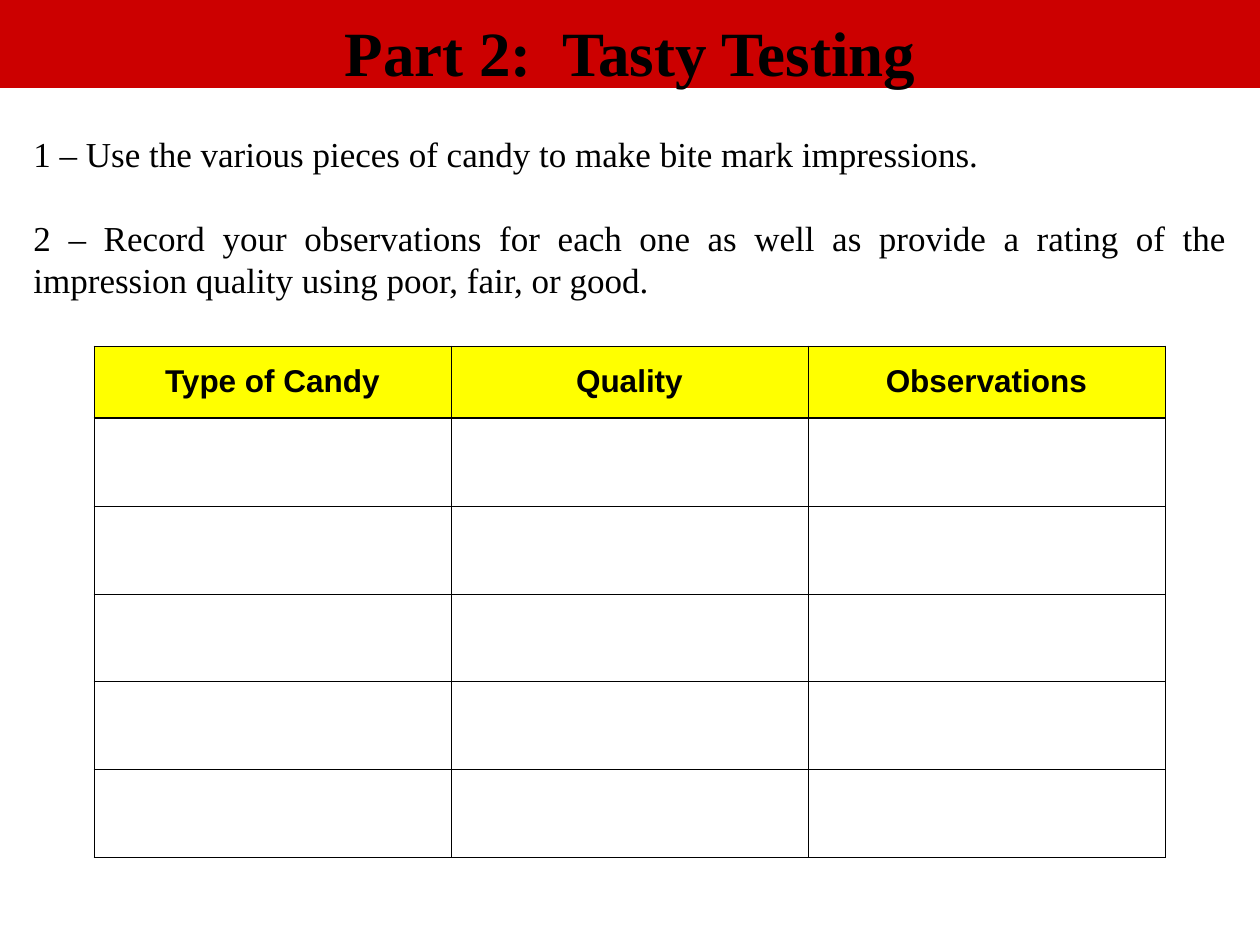
import lxml.etree
import pptx
import pptx.dml.color
import pptx.enum.text
import pptx.oxml.ns
import pptx.util

ALIGN = pptx.enum.text.PP_ALIGN
MID = pptx.enum.text.MSO_ANCHOR.MIDDLE
SCALE = 914400 / 126


class Theme:
    """Hold the colours, type formats and line widths of the slide."""
    red, yellow, white, black = "CC0000", "FFFF00", "FFFFFF", "000000"
    title = {"name": "Times New Roman", "size": pptx.util.Pt(36), "bold": True}
    body = {"name": "Times New Roman", "size": pptx.util.Pt(20), "bold": False}
    head = {"name": "Arial", "size": pptx.util.Pt(18), "bold": True}
    thin, thick = pptx.util.Pt(0.45), pptx.util.Pt(0.96)
    pitch = pptx.util.Pt(24)


def px(num):
    """Turn px into EMU."""
    return pptx.util.Emu(round(num * SCALE))


def tint(text):
    """Return the colour for a hex string."""
    return pptx.dml.color.RGBColor.from_string(text)


def apply(item, form):
    """Set each format value on an object."""
    for key, value in form.items():
        setattr(item, key, value)


def write(para, text, font, form):
    """Fill a paragraph with text in the given format."""
    run = para.add_run()
    run.text = text
    apply(run.font, font)
    run.font.color.rgb = tint(Theme.black)
    apply(para, form)


def banner(slide, box, text):
    """Draw the title band."""
    band = slide.shapes.add_shape(1, *map(px, box))
    band.shadow.inherit = False
    band.fill.solid()
    band.fill.fore_color.rgb = tint(Theme.red)
    band.line.fill.background()
    frame = band.text_frame
    apply(frame, {"word_wrap": True, "margin_top": px(14), "margin_bottom": 0,
                  "vertical_anchor": pptx.enum.text.MSO_ANCHOR.TOP})
    write(frame.paragraphs[0], text, Theme.title, {"alignment": ALIGN.CENTER})


def steps(slide, box, lines):
    """Write the numbered steps, one line apart."""
    frame = slide.shapes.add_textbox(*map(px, box)).text_frame
    frame.word_wrap = True
    for num, text in enumerate(lines):
        para = frame.add_paragraph() if num else frame.paragraphs[0]
        write(para, text, Theme.body, {
            "alignment": ALIGN.JUSTIFY, "line_spacing": Theme.pitch,
            "space_before": Theme.pitch if num else 0})


def edge(cell, side, width):
    """Add one border line to a cell."""
    name = pptx.oxml.ns.qn
    line = lxml.etree.SubElement(cell._tc.get_or_add_tcPr(), name("a:ln" + side),
                                 w=str(int(width)))
    fill = lxml.etree.SubElement(line, name("a:solidFill"))
    lxml.etree.SubElement(fill, name("a:srgbClr"), val=Theme.black)


def chart(slide, box, heads, count, top):
    """Draw the record table with a header and empty rows."""
    left, high, wide, tall = box
    grid = slide.shapes.add_table(count + 1, len(heads), *map(px, box)).table
    apply(grid, {"first_row": False, "horz_banding": False})
    for col in grid.columns:
        col.width = px(wide // len(heads))
    for num, row in enumerate(grid.rows):
        row.height = px((tall - top) // count if num else top)
        widths = {"L": Theme.thin, "R": Theme.thin,
                  "T": Theme.thick if num == 1 else Theme.thin,
                  "B": Theme.thin if num else Theme.thick}
        for cell, text in zip(row.cells, heads):
            for side, width in widths.items():
                edge(cell, side, width)
            cell.fill.solid()
            cell.fill.fore_color.rgb = tint(Theme.white if num else Theme.yellow)
            cell.vertical_anchor = MID
            if not num:
                write(cell.text_frame.paragraphs[0], text, Theme.head,
                      {"alignment": ALIGN.CENTER})


def main():
    """Build and save the slide."""
    deck = pptx.Presentation()
    apply(deck, {"slide_width": px(1260), "slide_height": px(945)})
    slide = deck.slides.add_slide(deck.slide_layouts[6])
    steps(slide, (21, 126, 1218, 181), [
        "1 – Use the various pieces of candy to make bite mark impressions.",
        "2 – Record your observations for each one as well as provide a rating "
        "of the impression quality using poor, fair, or good."])
    banner(slide, (0, 0, 1260, 88), "Part 2:  Tasty Testing")
    chart(slide, (94, 346, 1071, 512),
          ["Type of Candy", "Quality", "Observations"], 5, 72)
    deck.save("out.pptx")


if __name__ == "__main__":
    main()
